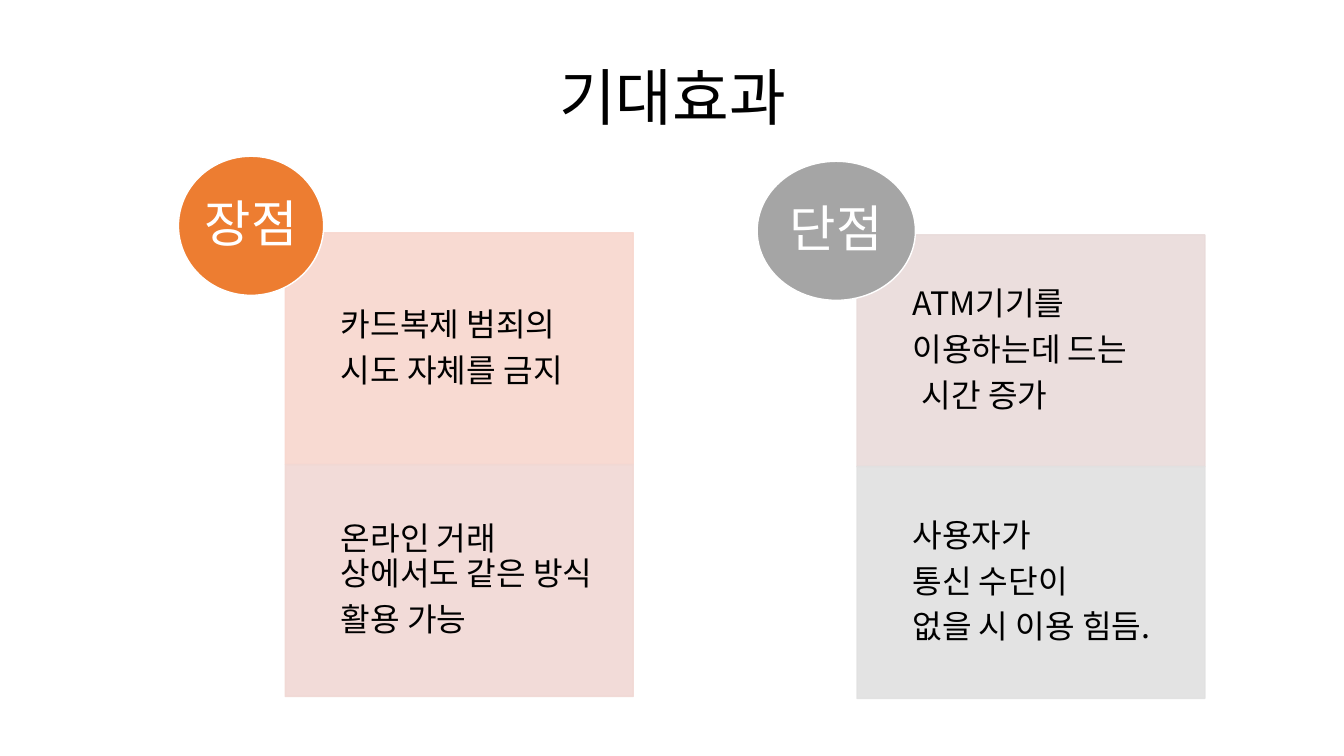
"""Build the slide on expected effects: advantages and drawbacks."""
from lxml import etree
from pptx import Presentation
from pptx.dml.color import RGBColor
from pptx.enum.shapes import MSO_SHAPE
from pptx.enum.text import MSO_ANCHOR, PP_ALIGN
from pptx.oxml.ns import qn
from pptx.util import Inches, Pt

RECTANGLE, ELLIPSE = MSO_SHAPE.RECTANGLE, MSO_SHAPE.OVAL
LEFT, CENTER = PP_ALIGN.LEFT, PP_ALIGN.CENTER
MIDDLE = MSO_ANCHOR.MIDDLE

FONT = "Noto Sans CJK KR"
COLORS = {
    "black": "000000", "white": "FFFFFF", "orange": "ED7D31", "gray": "A5A5A5",
    "peach": "F8D7CE", "rose": "F1D8D4", "mauve": "E9DBDA", "silver": "E1E1E1",
}
TITLE = "기대효과"
COLUMNS = [
    {
        "label": "장점", "color": "orange",
        "circle": (1.77, 1.55, 1.44, 1.38), "corner": (2.83, 2.31),
        "cards": [
            ("peach", ["카드복제 범죄의", "시도 자체를 금지"]),
            ("rose", ["온라인 거래 상에서도 같은 방식", "활용 가능"]),
        ],
    },
    {
        "label": "단점", "color": "gray",
        "circle": (7.51, 1.6, 1.57, 1.38), "corner": (8.5, 2.33),
        "cards": [
            ("mauve", ["ATM기기를", "이용하는데 드는", "시간 증가"]),
            ("silver", ["사용자가", "통신 수단이", "없을 시 이용 힘듬."]),
        ],
    },
]
INDENTS = {"시간 증가": 0.09}
CARD_WIDTH, CARD_HEIGHT = 3.45, 2.3
CARD_OPACITY = 90
STYLES = {
    "title": {"size": 44, "color": "black", "align": CENTER, "after": 0,
              "wrap": True, "margins": (0.1, 0.05, 0.1, 0.05)},
    "card": {"size": 23, "color": "black", "align": LEFT, "after": 8,
             "wrap": True, "margins": (0.55, 0.18, 0.18, 0.18)},
    "label": {"size": 36, "color": "white", "align": CENTER, "after": 0,
              "wrap": False, "margins": (0, 0, 0, 0)},
}


def rgb(name):
    return RGBColor.from_string(COLORS[name])


def write(shape, lines, style):
    frame = shape.text_frame
    frame.word_wrap = style["wrap"]
    frame.vertical_anchor = MIDDLE
    for side, margin in zip(("left", "top", "right", "bottom"), style["margins"]):
        setattr(frame, f"margin_{side}", Inches(margin))
    paragraph_format = {"alignment": style["align"], "line_spacing": 0.9,
                        "space_before": Pt(0), "space_after": Pt(style["after"])}
    for index, line in enumerate(lines):
        paragraph = frame.add_paragraph() if index else frame.paragraphs[0]
        for name, value in paragraph_format.items():
            setattr(paragraph, name, value)
        if line in INDENTS:
            properties = paragraph._p.get_or_add_pPr()
            properties.set("marL", str(Inches(INDENTS[line])))
        run = paragraph.add_run()
        run.text = line
        run.font.name = FONT
        run.font.size = Pt(style["size"])
        run.font.color.rgb = rgb(style["color"])
        east_asian = etree.SubElement(run._r.get_or_add_rPr(), qn("a:ea"))
        east_asian.set("typeface", FONT)


def add_block(slide, kind, box, fill, line, opacity=100):
    shape = slide.shapes.add_shape(kind, *map(Inches, box))
    shape.shadow.inherit = False
    shape.fill.solid()
    shape.fill.fore_color.rgb = rgb(fill)
    shape.line.color.rgb = rgb(line)
    shape.line.width = Pt(1)
    if opacity < 100:
        for color in shape._element.spPr.iter(qn("a:srgbClr")):
            etree.SubElement(color, qn("a:alpha")).set("val", str(opacity * 1000))
    return shape


def main():
    presentation = Presentation()
    presentation.slide_width = Inches(13.33)
    presentation.slide_height = Inches(7.5)
    slide = presentation.slides.add_slide(presentation.slide_layouts[6])

    title = slide.shapes.add_textbox(*map(Inches, (0.92, 0.27, 11.5, 1.45)))
    write(title, [TITLE], STYLES["title"])

    for column in COLUMNS:
        left, top = column["corner"]
        for row, (color, lines) in enumerate(column["cards"]):
            box = (left, top + row * CARD_HEIGHT, CARD_WIDTH, CARD_HEIGHT)
            card = add_block(slide, RECTANGLE, box, color, color, CARD_OPACITY)
            write(card, lines, STYLES["card"])
        circle = add_block(slide, ELLIPSE, column["circle"], column["color"], "white")
        write(circle, [column["label"]], STYLES["label"])

    presentation.save("out.pptx")


if __name__ == "__main__":
    main()
